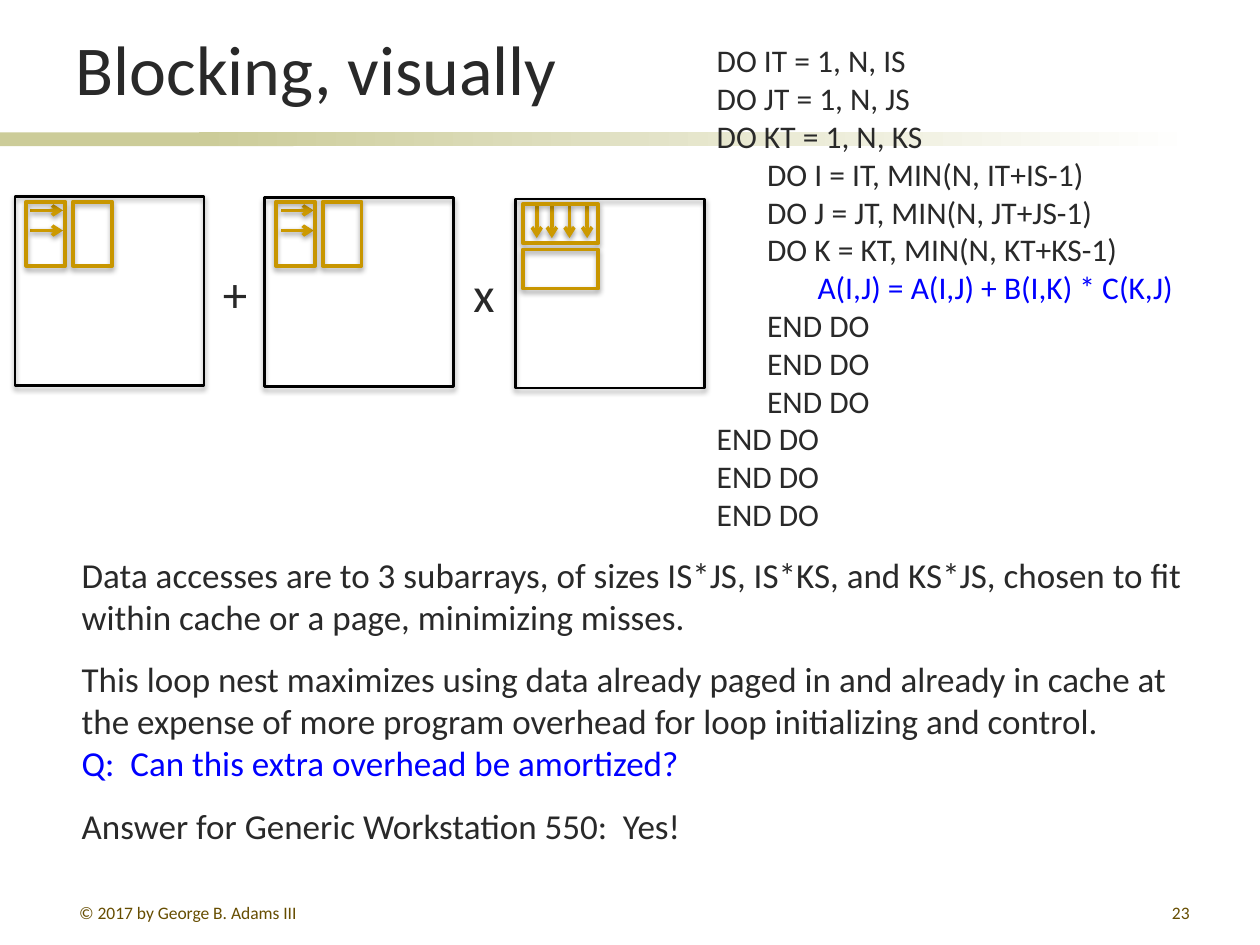
from lxml import etree
from pptx import Presentation
from pptx.dml.color import RGBColor
from pptx.enum.shapes import MSO_CONNECTOR as Conn, MSO_SHAPE as Shape
from pptx.enum.text import MSO_ANCHOR as Anchor, PP_ALIGN as Align
from pptx.oxml.ns import qn
from pptx.util import Inches, Pt

COLORS = {
    "text": "292929",
    "accent": "0000FF",
    "footer": "664D00",
    "band": "CCCC99",
    "white": "FFFFFF",
    "matrix": "000000",
    "block": "C89600",
    "arrow": "CC9900",
}


def rgb(name):
    return RGBColor.from_string(COLORS[name])


class SlideBuilder:
    font = "Calibri"

    def __init__(self, prs):
        self.s = prs.slides.add_slide(prs.slide_layouts[5])

    def run(self, p, text, size, color="text"):
        r = p.add_run()
        r.text = text
        r.font.name = self.font
        r.font.size = Pt(size)
        r.font.color.rgb = rgb(color)

    def title(self, text, x, y, w, h):
        sp = self.s.shapes.title
        sp.left, sp.top, sp.width, sp.height = map(Inches, (x, y, w, h))
        tf = sp.text_frame
        tf.vertical_anchor = Anchor.BOTTOM
        tf.paragraphs[0].alignment = Align.LEFT
        self.run(tf.paragraphs[0], text, 40)

    def text(self, paragraphs, x, y, w, h, size, align=Align.LEFT,
             gap=0, indents=None, wrap=True):
        sp = self.s.shapes.add_textbox(*map(Inches, (x, y, w, h)))
        tf = sp.text_frame
        tf.word_wrap = wrap
        for i, runs in enumerate(paragraphs):
            p = tf.add_paragraph() if i else tf.paragraphs[0]
            p.alignment = align
            p.space_before = Pt(gap if i else 0)
            if indents:
                pPr = p._p.get_or_add_pPr()
                pPr.set("marL", str(Inches(indents[i])))
                pPr.set("indent", "0")
            for j, (text, color) in enumerate(runs):
                if j:
                    p.add_line_break()
                self.run(p, text, size, color)

    def band(self, x, y, w, h, fade=False):
        sp = self.s.shapes.add_shape(Shape.RECTANGLE, *map(Inches, (x, y, w, h)))
        sp.shadow.inherit = False
        sp.line.fill.background()
        if fade:
            sp.fill.gradient()
            sp.fill.gradient_angle = 0
            for stop, color in zip(sp.fill.gradient_stops, ("band", "white")):
                stop.color.rgb = rgb(color)
        else:
            sp.fill.solid()
            sp.fill.fore_color.rgb = rgb("band")

    def drop_shadow(self, sp, distance, opacity):
        effects = etree.SubElement(sp._element.spPr, qn("a:effectLst"))
        shadow = etree.SubElement(
            effects, qn("a:outerShdw"), blurRad=str(Pt(3.1)),
            dist=str(Pt(distance)), dir="5400000", rotWithShape="0")
        color = etree.SubElement(shadow, qn("a:srgbClr"), val="000000")
        etree.SubElement(color, qn("a:alpha"), val=str(opacity * 1000))

    def outline(self, x, y, w, h, color, width):
        sp = self.s.shapes.add_shape(Shape.RECTANGLE, *map(Inches, (x, y, w, h)))
        sp.fill.background()
        sp.line.color.rgb = rgb(color)
        sp.line.width = Pt(width)
        self.drop_shadow(sp, 1.8, 35)

    def arrow(self, x1, y1, x2, y2):
        c = self.s.shapes.add_connector(
            Conn.STRAIGHT, *map(Inches, (x1, y1, x2, y2)))
        c.line.color.rgb = rgb("arrow")
        c.line.width = Pt(2)
        ln = c._element.spPr.find(qn("a:ln"))
        etree.SubElement(ln, qn("a:tailEnd"), type="arrow")
        self.drop_shadow(c, 1.6, 38)


def main():
    prs = Presentation()
    prs.slide_width, prs.slide_height = Inches(10), Inches(7.5)
    b = SlideBuilder(prs)

    b.band(0, 1.05, 2.33, 0.11)
    b.band(1.58, 1.05, 7.92, 0.11, fade=True)
    b.title("Blocking, visually", 0.5, 0.01, 9, 0.91)

    b.text([
        [("Data accesses are to 3 subarrays, of sizes IS*JS, IS*KS, and KS*JS, "
          "chosen to fit within cache or a page, minimizing misses.", "text")],
        [("This loop nest maximizes using data already paged in and already in "
          "cache at the expense of more program overhead for loop initializing "
          "and control.", "text"),
         ("Q:  Can this extra overhead be amortized?", "accent")],
        [("Answer for Generic Workstation 550:  Yes!", "text")],
    ], 0.55, 4.34, 9.07, 2.46, 20, gap=11.8)

    code = [
        (0, "DO IT = 1, N, IS"),
        (0, "DO JT = 1, N, JS"),
        (0, "DO KT = 1, N, KS"),
        (1, "DO I = IT, MIN(N, IT+IS-1)"),
        (1, "DO J = JT, MIN(N, JT+JS-1)"),
        (1, "DO K = KT, MIN(N, KT+KS-1)"),
        (2, "A(I,J) = A(I,J) + B(I,K) * C(K,J)"),
    ] + [(1, "END DO")] * 3 + [(0, "END DO")] * 3
    b.text([[(line, "accent" if level == 2 else "text")] for level, line in code],
           5.54, 0.28, 3.9, 4.04, 18,
           indents=[0.05 + 0.4 * level for level, _ in code])

    for x, y in ((0.12, 1.56), (2.1, 1.57), (4.09, 1.58)):
        b.outline(x, y, 1.5, 1.5, "matrix", 1.5)
    for sign, x, w in (("+", 1.67, 0.4), ("x", 3.66, 0.37)):
        b.text([[(sign, "text")]], x, 2.04, w, 0.57, 28, wrap=False)

    for x in (0.24, 2.23):
        for y in (1.67, 1.83):
            b.arrow(x, y, x + 0.26, y)
    for x in (4.26, 4.38, 4.52, 4.66):
        b.arrow(x, 1.63, x, 1.89)

    for x in (0.21, 0.58, 2.19, 2.56):
        b.outline(x, 1.6, 0.31, 0.51, "block", 2.25)
    for y in (1.62, 1.98):
        b.outline(4.15, y, 0.6, 0.31, "block", 2.25)

    b.text([[("© 2017 by George B. Adams III", "footer")]],
           0.53, 7.11, 2.17, 0.21, 10)
    b.text([[("23", "footer")]], 7.46, 7.11, 2.08, 0.21, 10, align=Align.RIGHT)

    prs.save("out.pptx")


if __name__ == "__main__":
    main()
